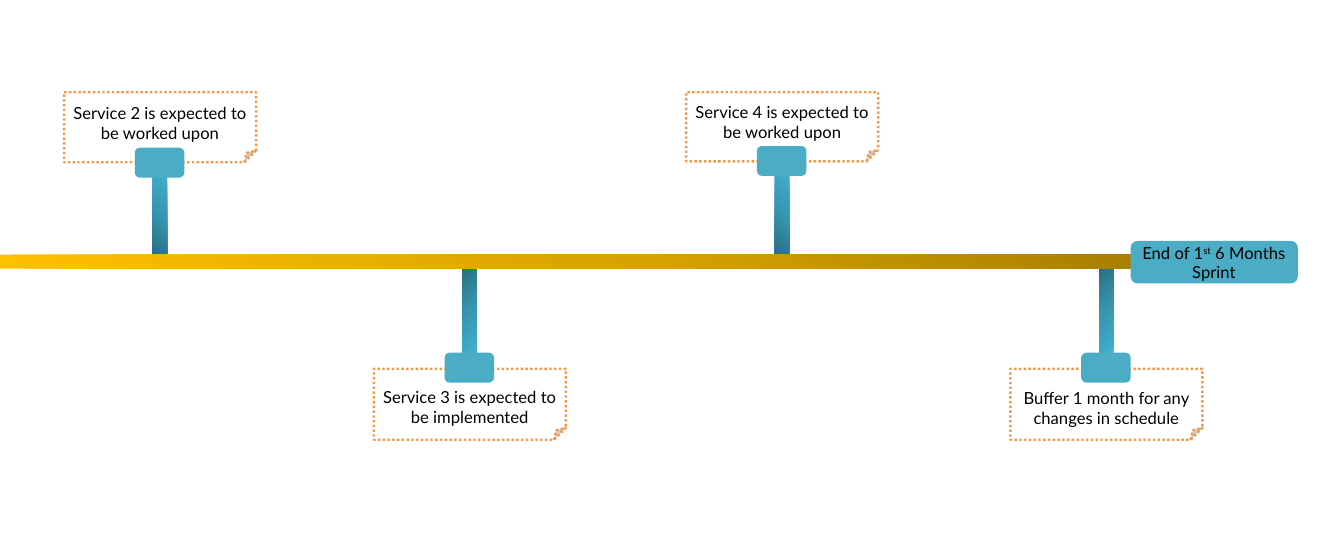
from lxml import etree
from pptx import Presentation
from pptx.dml.color import RGBColor
from pptx.enum.dml import MSO_LINE
from pptx.enum.shapes import MSO_SHAPE
from pptx.enum.text import MSO_AUTO_SIZE, PP_ALIGN
from pptx.oxml.ns import qn
from pptx.util import Pt

PX = 9144  # 100 px to the inch
STEM, NOTE = MSO_SHAPE.FLOWCHART_PROCESS, MSO_SHAPE.FOLDED_CORNER
CAP, ARROW = MSO_SHAPE.ROUNDED_RECTANGLE, MSO_SHAPE.RIGHT_ARROW
DOTTED, CENTER = MSO_LINE.ROUND_DOT, PP_ALIGN.CENTER
GROW = MSO_AUTO_SIZE.SHAPE_TO_FIT_TEXT

TEAL, ORANGE, WHITE = "4BACC6", "F79646", "FFFFFF"
STEM_STOPS = ("27697B", "3795AF", "42B1CF")
ARROW_STOPS = ("977200", "D7A200", "FFC000")
FONT = {"name": "Lato", "size": Pt(14)}

# Centre, top of stem, note, cap and text, note height, wording
MILESTONES = [
    (187, 198, 108, 173, 116, 82, "Service 2 is expected to be worked upon"),
    (550, 307, 432, 413, 448, 83, "Service 3 is expected to be implemented"),
    (916, 197, 108, 171, 115, 81, "Service 4 is expected to be worked upon"),
    (1296, 307, 432, 413, 449, 83, "Buffer 1 month for any changes in schedule"),
]
AXIS_TOP = 290


def add_block(kind, left, top, width, height, fill=None, stops=(), focus=""):
    """Add an unlined shape, filled plainly or with a gradient from a corner."""
    block = page.shapes.add_shape(kind, left * PX, top * PX, width * PX, height * PX)
    block.shadow.inherit = False
    block.line.fill.background()
    if fill:
        block.fill.solid()
        block.fill.fore_color.rgb = RGBColor.from_string(fill)
        return block
    gradient = etree.Element(qn("a:gradFill"), rotWithShape="1")
    stop_list = etree.SubElement(gradient, qn("a:gsLst"))
    for index, color in enumerate(stops):
        stop = etree.SubElement(stop_list, qn("a:gs"), pos=str(index * 50000))
        etree.SubElement(stop, qn("a:srgbClr"), val=color)
    circle = etree.SubElement(gradient, qn("a:path"))
    circle.set("path", "circle")
    corner = etree.SubElement(circle, qn("a:fillToRect"))
    for side in focus:
        corner.set(side, "100000")
    block._element.spPr.find(qn("a:prstGeom")).addnext(gradient)
    return block


def add_label(left, top, spans):
    """Add centred text from (wording, baseline) pairs."""
    box = page.shapes.add_textbox(left * PX, top * PX, 225 * PX, 57 * PX)
    box.text_frame.word_wrap = True
    box.text_frame.auto_size = GROW
    para = box.text_frame.paragraphs[0]
    para.alignment = CENTER
    for wording, baseline in spans:
        span = para.add_run()
        span.text = wording
        for key, value in FONT.items():
            setattr(span.font, key, value)
        span.font.color.rgb = RGBColor.from_string("000000")
        if baseline:
            span.font._element.set("baseline", str(baseline))


deck = Presentation()
deck.slide_width, deck.slide_height = 1575 * PX, 630 * PX
page = deck.slides.add_slide(deck.slide_layouts[6])

# Stems, notes and caps
for center, stem_top, note_top, cap_top, text_top, note_height, wording in MILESTONES:
    focus = "tr" if stem_top < AXIS_TOP else "rb"
    add_block(STEM, center - 8, stem_top, 17, 108, stops=STEM_STOPS, focus=focus)
    note = add_block(NOTE, center - 112, note_top, 225, note_height, WHITE)
    note.line.color.rgb = RGBColor.from_string(ORANGE)
    note.line.width = Pt(2)
    note.line.dash_style = DOTTED
    add_block(CAP, center - 29, cap_top, 58, 35, TEAL)

# Time axis
add_block(ARROW, 0, AXIS_TOP, 1521, 33, stops=ARROW_STOPS, focus="lb")

# Milestone wording
for center, stem_top, note_top, cap_top, text_top, note_height, wording in MILESTONES:
    add_label(center - 112, text_top, [(wording, 0)])

# End of the sprint
add_block(CAP, 1325, 282, 196, 50, TEAL)
add_label(1310, 279, [("End of 1", 0), ("st", 30000), (" 6 Months Sprint", 0)])

deck.save("out.pptx")
